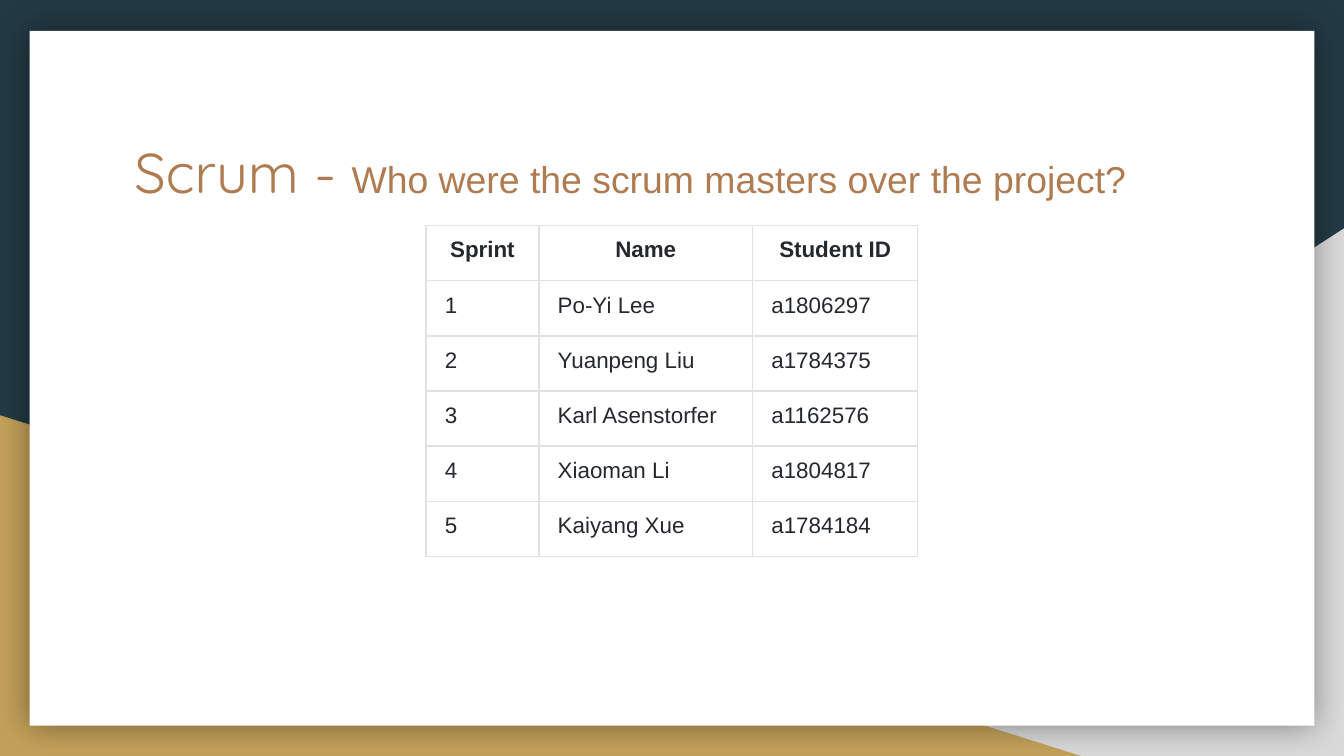
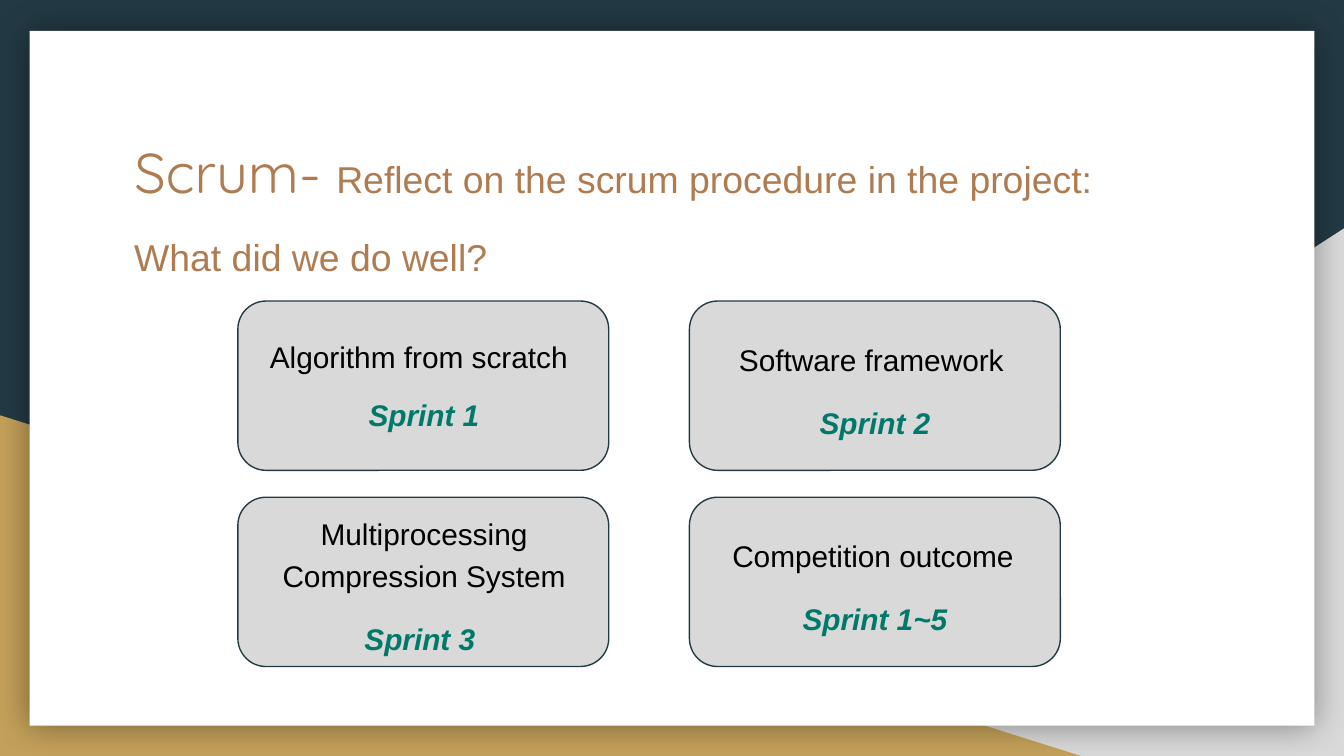
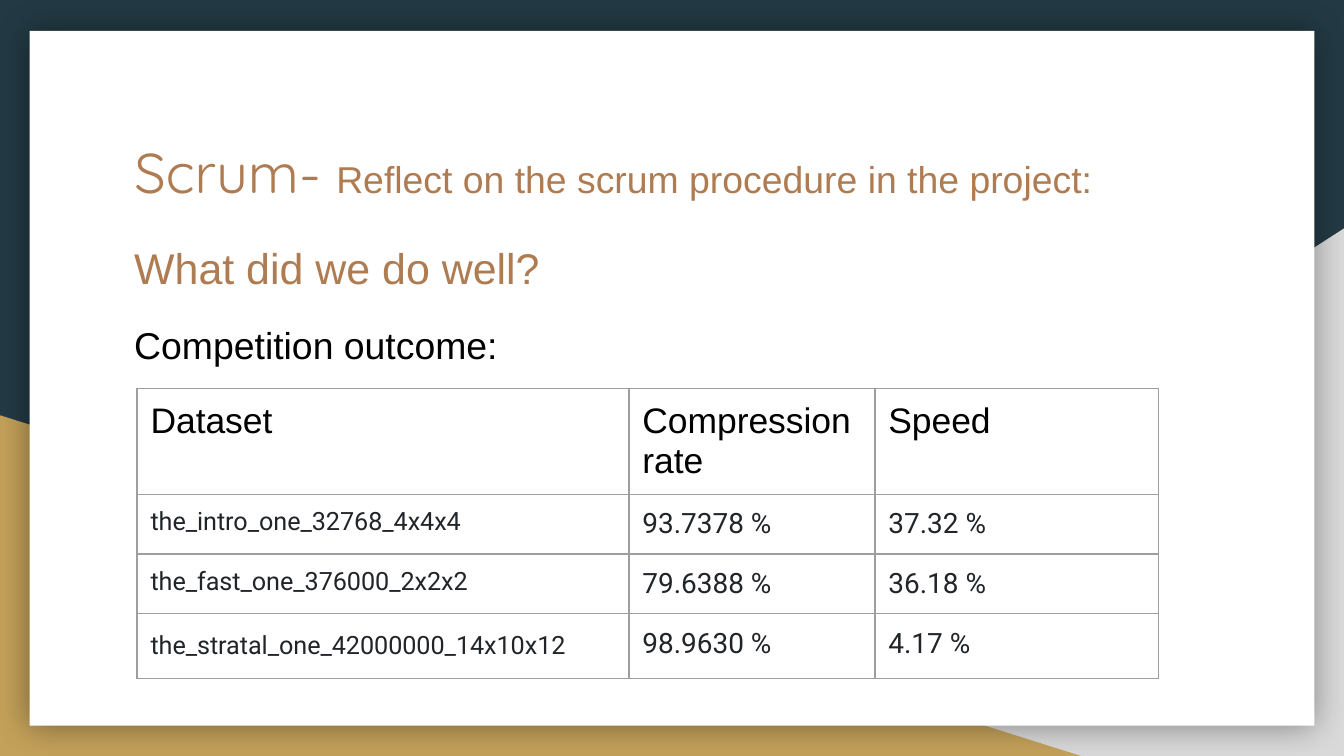
"""Build three slides on the scrum masters and results of a project."""
import pptx
import pptx.dml.color
import pptx.enum.shapes
import pptx.enum.text
import pptx.oxml
import pptx.oxml.ns
import pptx.util

Inches = pptx.util.Inches
Pt = pptx.util.Pt
Shape = pptx.enum.shapes.MSO_SHAPE
Align = pptx.enum.text.PP_ALIGN
Fit = pptx.enum.text.MSO_AUTO_SIZE
SPACE = pptx.oxml.ns.nsdecls("a")

HUES = {
    "navy": "233A44", "gold": "C4A15A", "grey": "D9D9D9", "white": "FFFFFF",
    "brown": "AF7B51", "black": "000000", "teal": "00796B", "ink": "24292E",
    "coal": "212529", "pale": "DFE2E5", "rule": "9E9E9E",
}

BRAND = {"name": "Quicksand", "size": 30, "hue": "brown", "bold": False}
HEAD = {"name": "Arial", "size": 20, "hue": "brown", "bold": False}
LARGE = {**HEAD, "size": 23}
NOTE = {**HEAD, "hue": "black"}
CARD = {**NOTE, "size": 16}
SPRINT = {**CARD, "hue": "teal", "bold": True, "italic": True}
CELL = {**HEAD, "size": 12, "hue": "ink"}
LABEL = {**CELL, "bold": True}
FIELD = {**NOTE, "size": 19}
VALUE = {"name": "Roboto", "size": 15, "hue": "coal", "bold": False}
DATA = {**VALUE, "size": 13.5}

WIDE = {"line_spacing": 1.15}
APART = {"space_before": Pt(12), "space_after": Pt(12)}
MID = {"alignment": Align.CENTER}
LEFT = {"alignment": Align.LEFT}
ROOMY = {**WIDE, "space_after": Pt(12)}

MASTERS = [
    ("Sprint", "Name", "Student ID"),
    ("1", "Po-Yi Lee", "a1806297"),
    ("2", "Yuanpeng Liu", "a1784375"),
    ("3", "Karl Asenstorfer", "a1162576"),
    ("4", "Xiaoman Li", "a1804817"),
    ("5", "Kaiyang Xue", "a1784184"),
]
RESULTS = [
    ("Dataset", "Compression rate", "Speed"),
    ("the_intro_one_32768_4x4x4", "93.7378 %", "37.32 %"),
    ("the_fast_one_376000_2x2x2", "79.6388 %", "36.18 %"),
    ("the_stratal_one_42000000_14x10x12", "98.9630 %", "4.17 %"),
]
CARDS = [
    ("Algorithm from scratch", "Sprint 1", (1.91, 2.42, 2.49, 0.91), LEFT, {}),
    ("Software framework", "Sprint 2", (5.4, 2.4, 2.22, 0.95), LEFT, WIDE),
    ("Multiprocessing Compression System", "Sprint 3 ",
     (1.7, 3.7, 2.91, 1.26), MID, WIDE),
    ("Competition outcome", "Sprint 1~5", (5.35, 3.86, 2.32, 0.95), LEFT, WIDE),
]


def tint(name):
    return pptx.dml.color.RGBColor.from_string(HUES[name])


def paint(fill, name):
    fill.solid()
    fill.fore_color.rgb = tint(name)


def assign(target, values):
    for key, value in values.items():
        setattr(target, key, value)


def write(para, runs, layout):
    assign(para, layout)
    for words, style in runs:
        run = para.add_run()
        run.text = words
        values = {**style, "size": Pt(style["size"])}
        run.font.color.rgb = tint(values.pop("hue"))
        assign(run.font, values)


def fill_frame(frame, paras, fit=Fit.NONE):
    assign(frame, {
        "word_wrap": True, "auto_size": fit,
        "vertical_anchor": pptx.enum.text.MSO_ANCHOR.TOP,
        **{f"margin_{side}": Inches(0.1)
           for side in ("left", "top", "right", "bottom")},
    })
    for index, (runs, layout) in enumerate(paras):
        para = frame.add_paragraph() if index else frame.paragraphs[0]
        write(para, runs, layout)


def add_text(slide, box, paras, fit=Fit.NONE):
    text = slide.shapes.add_textbox(*map(Inches, box))
    fill_frame(text.text_frame, paras, fit)


def add_block(slide, kind, box, fill, line=None):
    block = slide.shapes.add_shape(kind, *map(Inches, box))
    block.shadow.inherit = False
    paint(block.fill, fill)
    if line:
        block.line.color.rgb = tint(line)
        block.line.width = Pt(0.75)
    else:
        block.line.fill.background()
    return block


def add_slide(deck, lead, rest):
    slide = deck.slides.add_slide(deck.slide_layouts[5])
    title = slide.shapes.title
    box = zip(("left", "top", "width", "height"), (0.9, 0.92, 8.21, 1.04))
    assign(title, {key: Inches(value) for key, value in box})
    fill_frame(title.text_frame, [([(lead, BRAND), (rest, HEAD)], LEFT)])
    return slide


def dress_layout(slide):
    layout = slide.slide_layout
    paint(layout.background.fill, "navy")
    right = add_block(slide, Shape.RIGHT_TRIANGLE, (3.92, 1.7, 6.08, 3.93), "grey")
    right.element.spPr.find(pptx.oxml.ns.qn("a:xfrm")).set("flipH", "1")
    left = add_block(slide, Shape.RIGHT_TRIANGLE, (0, 3.09, 8.06, 2.54), "gold")
    sheet = add_block(slide, Shape.RECTANGLE, (0.22, 0.23, 9.56, 5.17), "white")
    glow = sheet.element.spPr.find(pptx.oxml.ns.qn("a:effectLst"))
    glow.append(pptx.oxml.parse_xml(
        f'<a:outerShdw {SPACE} blurRad="{Pt(18)}" dist="0" dir="0" '
        f'algn="ctr" rotWithShape="0"><a:srgbClr val="{HUES["black"]}">'
        '<a:alpha val="40000"/></a:srgbClr></a:outerShdw>'))
    for index, shape in enumerate((right, left, sheet)):
        layout.shapes.element.insert(2 + index, shape.element)


def edge_cell(cell, hue):
    props = cell._tc.get_or_add_tcPr()
    for index, side in enumerate("LRTB"):
        props.insert(index, pptx.oxml.parse_xml(
            f'<a:ln{side} {SPACE} w="{Pt(0.75)}"><a:solidFill>'
            f'<a:srgbClr val="{HUES[hue]}"/></a:solidFill></a:ln{side}>'))


def add_grid(slide, spot, widths, heights, rows, edge, pads, pick):
    frame = slide.shapes.add_table(
        len(rows), len(widths), *map(Inches, spot),
        Inches(sum(widths)), Inches(sum(heights)))
    grid = frame.table
    assign(grid, {"first_row": False, "horz_banding": False})
    for column, width in zip(grid.columns, widths):
        column.width = Inches(width)
    for row, height in zip(grid.rows, heights):
        row.height = Inches(height)
    across, down = map(Inches, pads)
    for y, row in enumerate(rows):
        for x, words in enumerate(row):
            cell = grid.cell(y, x)
            assign(cell, {"margin_left": across, "margin_right": across,
                          "margin_top": down, "margin_bottom": down})
            edge_cell(cell, edge)
            paint(cell.fill, "white")
            style, layout = pick(y, x)
            write(cell.text_frame.paragraphs[0], [(words, style)], layout)


def pick_master(y, x):
    return (CELL, ROOMY) if y else (LABEL, {**ROOMY, **MID})


def pick_result(y, x):
    if y == 0:
        return FIELD, {}
    last = y == len(RESULTS) - 1
    return (VALUE, {}) if x else (DATA, WIDE if last else {})


def add_cards(slide):
    for index, (words, sprint, box, align, space) in enumerate(CARDS):
        row, column = divmod(index, 2)
        place = (1.77 + 3.36 * column, 2.24 + 1.46 * row, 2.76, 1.26)
        add_block(slide, Shape.ROUNDED_RECTANGLE, place, "grey", "navy")
        add_text(slide, box, [
            ([(words, CARD)], {**align, **space}),
            ([(sprint, SPRINT)], {**MID, **APART, **space}),
        ], Fit.SHAPE_TO_FIT_TEXT)


def main():
    deck = pptx.Presentation()
    width = Inches(10)
    assign(deck, {"slide_width": width, "slide_height": width * 9 // 16})

    slide = add_slide(deck, "Scrum - ", "Who were the scrum masters over the project?")
    dress_layout(slide)
    add_grid(slide, (3.17, 1.68), (0.84, 1.59, 1.23), [0.41] * 6,
             MASTERS, "pale", (0.14, 0.06), pick_master)

    reflect = ("Scrum- ", "Reflect on the scrum procedure in the project:")
    query = "What did we do well?"
    slide = add_slide(deck, *reflect)
    add_text(slide, (0.9, 1.59, 8.21, 3.5), [([(query, HEAD)], WIDE)])
    add_cards(slide)

    slide = add_slide(deck, *reflect)
    add_text(slide, (0.9, 1.64, 8.21, 3.5), [
        ([(query, LARGE)], WIDE),
        ([("Competition outcome:", NOTE)], {**WIDE, **APART}),
    ])
    add_grid(slide, (1.02, 2.89), (3.66, 1.83, 2.11), (0.67, 0.42, 0.42, 0.48),
             RESULTS, "rule", (0.1, 0.1), pick_result)

    deck.save("out.pptx")


if __name__ == "__main__":
    main()
